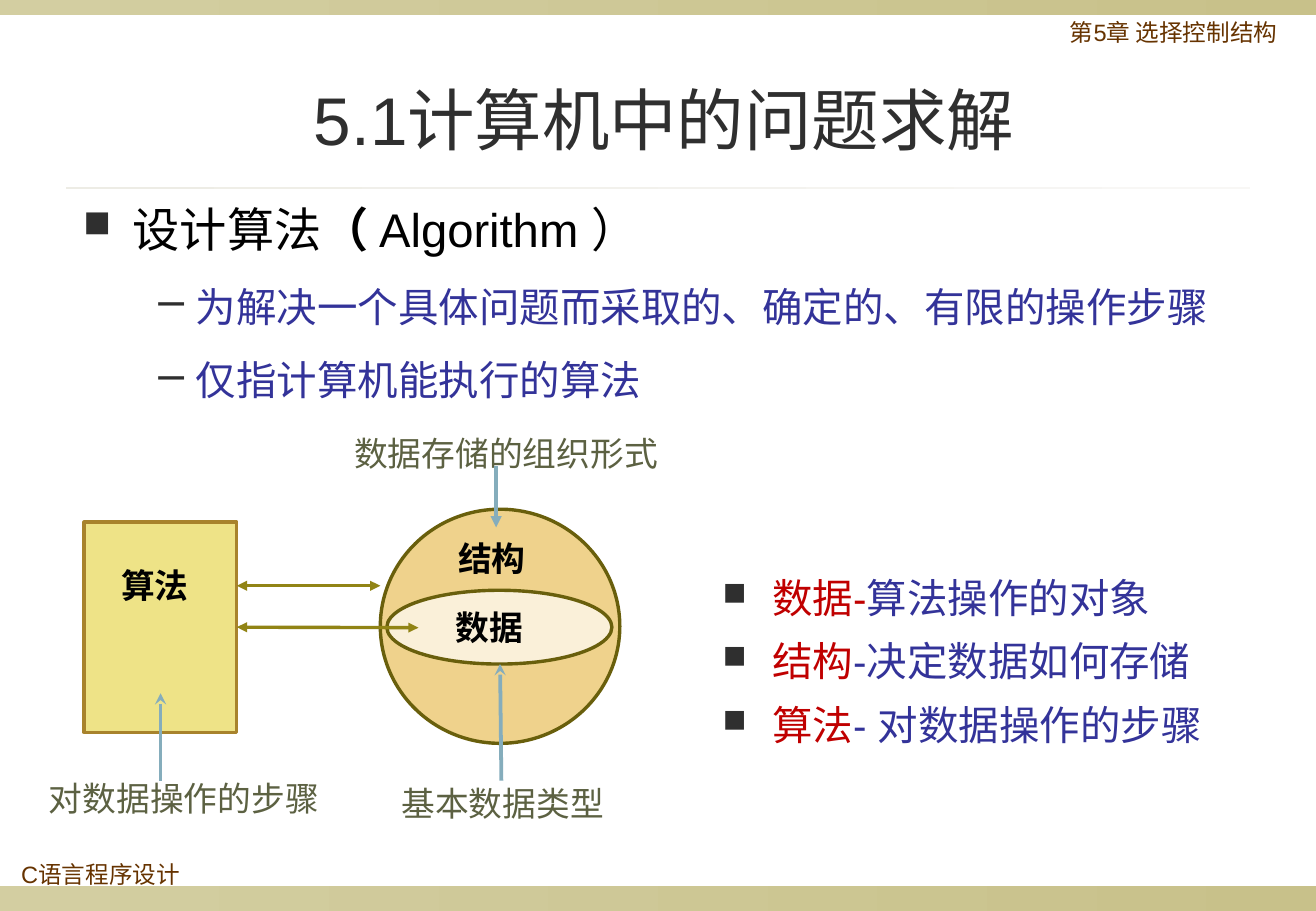
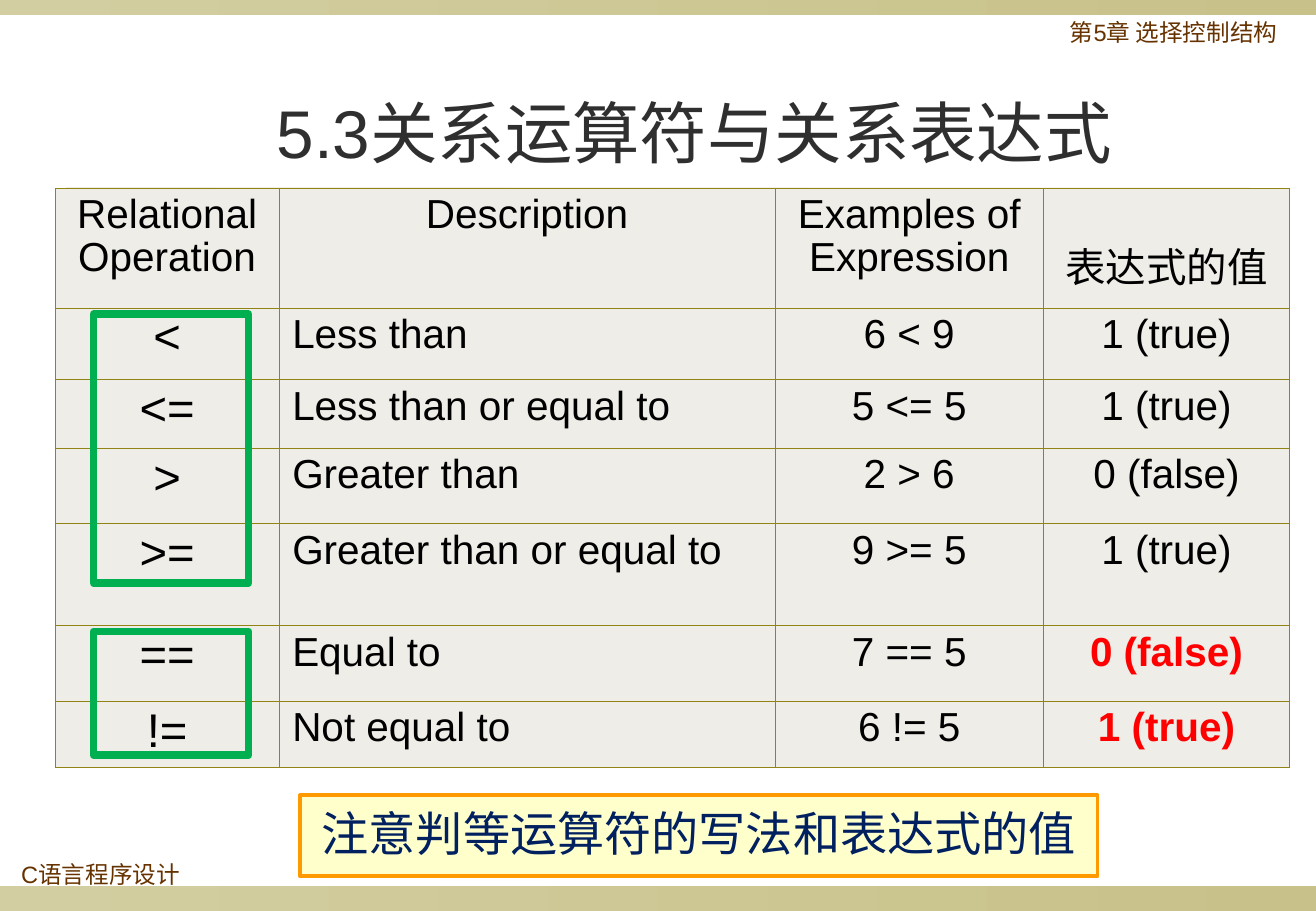
"""Build two lesson slides on algorithms and relational operators in C."""
from dataclasses import dataclass

from lxml import etree
from pptx import Presentation
from pptx import util as u
from pptx.dml.color import RGBColor
from pptx.enum import shapes, text
from pptx.oxml.ns import qn


@dataclass(frozen=True)
class Theme:
    band: tuple = ("D3CEA1", "C8C18A")
    rule: tuple = ("EDECE5", "F8F7F5")
    brown: str = "663300"
    gray: str = "2F2F2F"
    black: str = "000000"
    blue: str = "333399"
    navy: str = "002060"
    red: str = "C00000"
    alert: str = "FF0000"
    moss: str = "5C6142"
    olive: str = "918415"
    steel: str = "85ADBC"
    green: str = "00B050"
    cell: str = "EEEDE7"
    latin: str = "Arial"
    serif: str = "Times New Roman"
    asian: str = "Noto Sans CJK SC"
    title: int = 40
    head: int = 28
    body: int = 24
    label: int = 20
    small: int = 14


t = Theme()
deck = Presentation()
deck.slide_width, deck.slide_height = u.Inches(10.84), u.Inches(7.5)
col, row = deck.slide_width / 100, deck.slide_height / 100
rect, oval = shapes.MSO_SHAPE.RECTANGLE, shapes.MSO_SHAPE.OVAL
mid = text.PP_ALIGN.CENTER


def box(slide, at, kind=None, fill=None, edge=None, width=2):
    """Place a shape, or a text box if no kind is given, on the grid."""
    x, y, w, h = at
    spot = [int(n) for n in (x * col, y * row, w * col, h * row)]
    if kind is None:
        shape = slide.shapes.add_textbox(*spot)
        shape.text_frame.word_wrap = True
        return shape
    shape = slide.shapes.add_shape(kind, *spot)
    shape.shadow.inherit = False
    if isinstance(fill, tuple):
        shape.fill.gradient()
        shape.fill.gradient_angle = 0
        for stop, tone in zip(shape.fill.gradient_stops, fill):
            stop.color.rgb = RGBColor.from_string(tone)
    elif fill:
        shape.fill.solid()
        shape.fill.fore_color.rgb = RGBColor.from_string(fill)
    else:
        shape.fill.background()
    if edge:
        shape.line.color.rgb = RGBColor.from_string(edge)
        shape.line.width = u.Pt(width)
    else:
        shape.line.fill.background()
    return shape


def say(para, *runs, align=None, lead=1.0, gap=0, mark=None):
    """Add runs of (text, size, ink, bold, face) to a paragraph."""
    para.alignment = align
    para.line_spacing = lead
    para.space_before = para.space_after = u.Pt(gap)
    if mark:
        char, scale, left, hang = mark
        prop = para._p.get_or_add_pPr()
        prop.set("marL", str(u.Inches(left)))
        prop.set("indent", str(-u.Inches(hang)))
        tone = etree.SubElement(prop, qn("a:buClr"))
        etree.SubElement(tone, qn("a:srgbClr"), val=t.gray)
        etree.SubElement(prop, qn("a:buSzPct"), val=str(scale * 1000))
        etree.SubElement(prop, qn("a:buChar"), char=char)
    for words, size, ink, *rest in runs:
        bold, face = rest + [False, t.latin][len(rest):]
        run = para.add_run()
        run.text = words
        run.font.size = u.Pt(size)
        run.font.bold = bold
        run.font.color.rgb = RGBColor.from_string(ink)
        run.font.name = face
        etree.SubElement(run._r.get_or_add_rPr(), qn("a:ea"), typeface=t.asian)


pages = []
for title, spot in (
    ("5.1计算机中的问题求解", (5.9, 6.9, 89.1, 12.3)),
    ("5.3关系运算符与关系表达式", (7.5, 8.3, 90.5, 12.3)),
):
    page = deck.slides.add_slide(deck.slide_layouts[6])
    for at, tones in (
        ((0, 97.3, 100, 2.7), t.band),
        ((0, 0, 100, 1.6), t.band),
        ((5, 20.5, 90, 0.3), t.rule),
    ):
        box(page, at, rect, tones)
    for words, at in (
        ("第5章 选择控制结构", (80.4, 1.7, 18.9, 5.2)),
        ("C语言程序设计", (0.7, 94.1, 21.7, 5.2)),
    ):
        para = box(page, at).text_frame.paragraphs[0]
        say(para, (words, t.small, t.brown), lead=0.9)
    frame = box(page, spot).text_frame
    frame.vertical_anchor = text.MSO_ANCHOR.MIDDLE
    say(frame.paragraphs[0], (title, t.title, t.gray), align=mid)
    pages.append(page)

first, second = pages

square = ("■", 80, 0.41, 0.41)
dash = ("–", 115, 0.93, 0.31)
lists = (
    ((5.4, 20.7, 88.9, 34.7), 1.1, (
        (square, (
            ("设计算法", t.head, t.black, False, t.serif),
            ("（ ", t.head, t.black, True, t.serif),
            ("Algorithm ", t.head, t.black),
            ("）", t.head, t.black, False, t.serif),
        )),
        (dash, (("为解决一个具体问题而采取的、确定的、有限的操作步骤",
                 t.body, t.blue, False, t.serif),)),
        (dash, (("仅指计算机能执行的算法", t.body, t.blue, False, t.serif),)),
    )),
    ((54, 62.8, 41.7, 20.1), 0.9, (
        (square, (("数据-", t.body, t.red), ("算法操作的对象", t.body, t.blue))),
        (square, (("结构", t.body, t.red), ("-决定数据如何存储", t.body, t.blue))),
        (square, (("算法", t.body, t.red), ("- 对数据操作的步骤", t.body, t.blue))),
    )),
)
for at, lead, items in lists:
    frame = box(first, at).text_frame
    for i, (mark, runs) in enumerate(items):
        para = frame.add_paragraph() if i else frame.paragraphs[0]
        say(para, *runs, lead=lead, gap=5.9, mark=mark)

block = box(first, (6.4, 57.3, 11.6, 23.1), rect, "EEE387", "A8832C")
box(first, (28.9, 55.9, 18.2, 25.7), oval, "EFD28C", "695F0C")
box(first, (29.4, 64.8, 17.1, 8.1), oval, "FAF0D9", "695F0C")

for words, x, y, w, ink, bold in (
    ("算法", 8.3, 61.3, 7.6, t.black, True),
    ("结构", 33.9, 58.4, 12.5, t.black, True),
    ("数据", 33.7, 66, 8.7, t.black, True),
    ("对数据操作的步骤", 2.8, 84.7, 23.2, t.moss, False),
    ("基本数据类型", 29.6, 85.3, 23.2, t.moss, False),
    ("数据存储的组织形式", 26, 46.8, 26.4, t.moss, False),
):
    para = box(first, (x, y, w, 5.9)).text_frame.paragraphs[0]
    say(para, (words, t.label, ink, bold))

for x1, y1, x2, y2, ink, width, head, tail, joined in (
    (12.2, 76.1, 12.2, 85.7, t.steel, 2.25, "stealth", None, False),
    (38, 72.9, 38.1, 85.7, t.steel, 2.25, "stealth", None, False),
    (37.7, 51.2, 37.7, 57.9, t.steel, 2.25, None, "triangle", False),
    (18, 64.3, 28.9, 64.3, t.olive, 2, "triangle", "triangle", False),
    (18, 68.9, 31.8, 68.9, t.olive, 2, "triangle", "triangle", True),
):
    ends = [int(n) for n in (x1 * col, y1 * row, x2 * col, y2 * row)]
    arrow = first.shapes.add_connector(shapes.MSO_CONNECTOR.STRAIGHT, *ends)
    if joined:
        arrow.begin_connect(block, 3)
    arrow.line.color.rgb = RGBColor.from_string(ink)
    arrow.line.width = u.Pt(width)
    line = arrow.line._get_or_add_ln()
    for tag, tip in (("a:headEnd", head), ("a:tailEnd", tail)):
        if tip:
            etree.SubElement(line, qn(tag), type=tip)
    etree.SubElement(arrow._element.spPr, qn("a:effectLst"))

data = (
    ("Relational Operation", "Description", "Examples of Expression", "表达式的值"),
    ("<", "Less than", "6 < 9", "1 (true)"),
    ("<=", "Less than or equal to", "5 <= 5", "1 (true)"),
    (">", "Greater than", "2 > 6", "0 (false)"),
    (">=", "Greater than or equal to", "9 >= 5", "1 (true)"),
    ("==", "Equal to", "7 == 5", "0 (false)"),
    ("!=", "Not equal to", "6 != 5", "1 (true)"),
)
spot = (4.2 * col, 20.7 * row, 93.8 * col, 63.5 * row)
grid = second.shapes.add_table(len(data), 4, *[int(n) for n in spot]).table
grid.first_row = grid.horz_banding = False
for part, share in zip(grid.columns, (17, 37.7, 20.4, 18.7)):
    part.width = int(share * col)
for part, share in zip(grid.rows, (13.1, 7.9, 7.5, 8.3, 11.2, 8.3, 7.2)):
    part.height = int(share * row)
for r, cells in enumerate(data):
    for c, words in enumerate(cells):
        cell = grid.cell(r, c)
        cell.margin_left = cell.margin_right = u.Inches(0.11)
        cell.margin_top = cell.margin_bottom = u.Inches(0.05)
        if r == 0 and c == 3:
            cell.margin_top = u.Inches(0.41)
        prop = cell._tc.get_or_add_tcPr()
        for side in "LRTB":
            edge = etree.SubElement(prop, qn("a:ln" + side), w=str(u.Pt(0.45)))
            tone = etree.SubElement(edge, qn("a:solidFill"))
            etree.SubElement(tone, qn("a:srgbClr"), val=t.olive)
        cell.fill.solid()
        cell.fill.fore_color.rgb = RGBColor.from_string(t.cell)
        hot = r > 4 and c == 3
        size = t.head if r and c == 0 else t.body
        say(cell.text_frame.paragraphs[0],
            (words, size, t.alert if hot else t.black, hot),
            align=text.PP_ALIGN.LEFT if r and c == 1 else mid, lead=0.95)

for y, h in ((34.5, 29.5), (69.3, 13.6)):
    box(second, (7.1, y, 11.8, h), rect, None, t.green, 4.5)

note = box(second, (22.8, 87.3, 60.6, 8.9), rect, "FFFFCC", "FF9900", 2.25)
note.text_frame.word_wrap = False
note.text_frame.vertical_anchor = text.MSO_ANCHOR.MIDDLE
say(note.text_frame.paragraphs[0],
    ("注意判等运算符的写法和表达式的值", t.head, t.navy, False, t.asian),
    align=mid, lead=0.9, gap=5.9)

deck.save("out.pptx")
